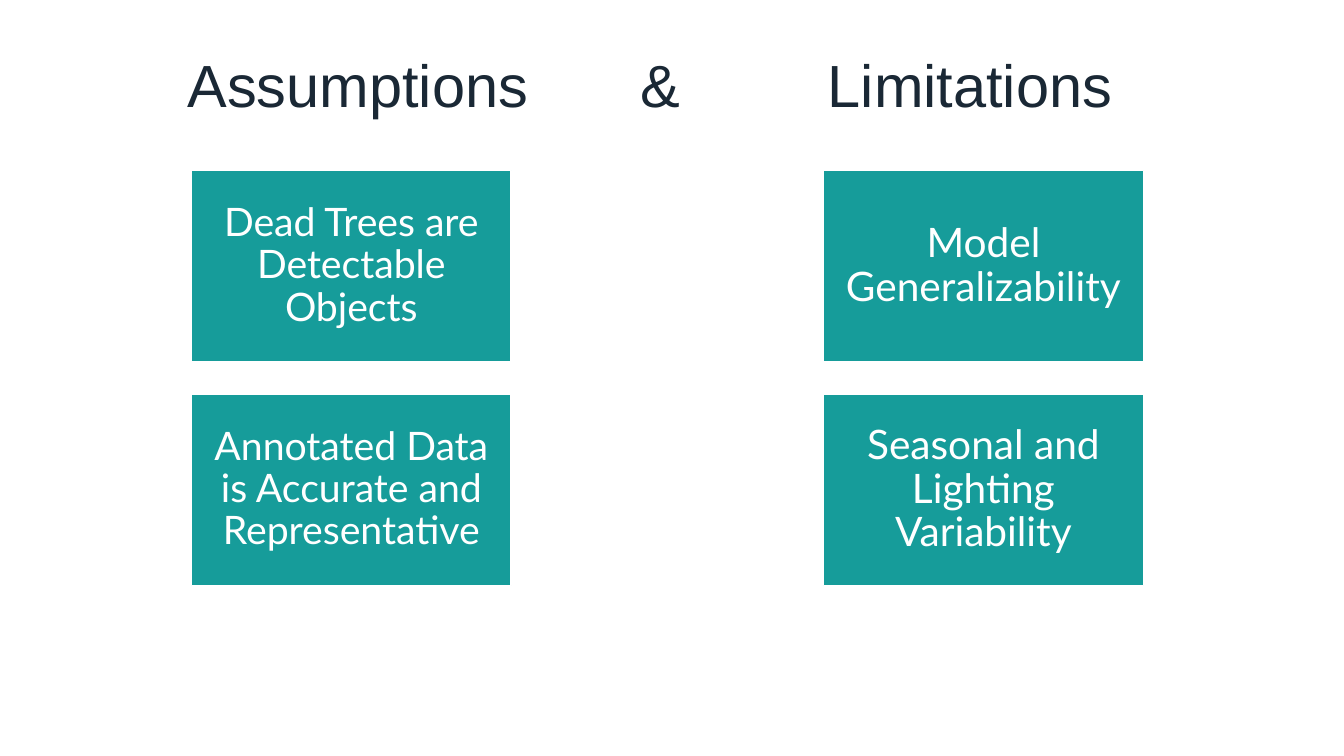
from lxml import etree
from pptx import Presentation
from pptx import util as u
from pptx.dml.color import RGBColor
from pptx.enum import shapes, text
from pptx.oxml.ns import qn

COLORS = {"navy": "1A2835", "teal": "169C9A", "white": "FFFFFF"}
COLUMNS = [
    (1.9, 28, ["Dead Trees are Detectable Objects",
               "Annotated Data is Accurate and Representative"]),
    (8.17, 29, ["Model Generalizability", "Seasonal and Lighting Variability"]),
]
CARD_WIDTH, CARD_HEIGHT, CARD_PITCH = 3.17, 1.9, 2.22


def color(name):
    """Return the named palette colour."""
    return RGBColor.from_string(COLORS[name])


def write(frame, words, *, size, font, ink, insets, align, anchor, tabs=()):
    """Fill a text frame with one formatted paragraph."""
    frame.word_wrap = True
    frame.vertical_anchor = anchor
    (frame.margin_left, frame.margin_top,
     frame.margin_right, frame.margin_bottom) = map(u.Inches, insets)
    paragraph = frame.paragraphs[0]
    paragraph.alignment = align
    paragraph.line_spacing = 0.9
    if tabs:
        stops = etree.SubElement(paragraph._p.get_or_add_pPr(), qn("a:tabLst"))
        for stop in tabs:
            etree.SubElement(stops, qn("a:tab"), pos=str(u.Inches(stop)), algn="l")
    run = paragraph.add_run()
    run.text = words
    run.font.size = u.Pt(size)
    run.font.name = font
    run.font.color.rgb = color(ink)


def add_heading(slide, left, top, width, height):
    """Place the heading with its three words on tab stops."""
    heading = slide.shapes.add_textbox(*map(u.Inches, (left, top, width, height)))
    write(heading.text_frame, "Assumptions\t&\tLimitations", size=42.5, font="Arial",
          ink="navy", insets=(1.19, 0.1, 0.1, 0.05), align=text.PP_ALIGN.LEFT,
          anchor=text.MSO_ANCHOR.TOP, tabs=(4.49, 6.35))


def add_column(slide, left, top, size, statements):
    """Stack one card per statement downwards from the given corner."""
    for row, statement in enumerate(statements):
        card = slide.shapes.add_shape(
            shapes.MSO_SHAPE.RECTANGLE, u.Inches(left), u.Inches(top + row * CARD_PITCH),
            u.Inches(CARD_WIDTH), u.Inches(CARD_HEIGHT))
        card.shadow.inherit = False
        card.fill.solid()
        card.fill.fore_color.rgb = color("teal")
        card.line.color.rgb = color("white")
        card.line.width = u.Pt(1)
        write(card.text_frame, statement, size=size, font="Lato", ink="white",
              insets=(0.12,) * 4, align=text.PP_ALIGN.CENTER,
              anchor=text.MSO_ANCHOR.MIDDLE)


def main():
    """Build and save the slide."""
    deck = Presentation()
    deck.slide_width, deck.slide_height = u.Inches(13.33), u.Inches(7.5)
    slide = deck.slides.add_slide(deck.slide_layouts[6])
    add_heading(slide, 0.67, 0.46, 11.75, 1.07)
    for left, size, statements in COLUMNS:
        add_column(slide, left, 1.69, size, statements)
    deck.save("out.pptx")


if __name__ == "__main__":
    main()
